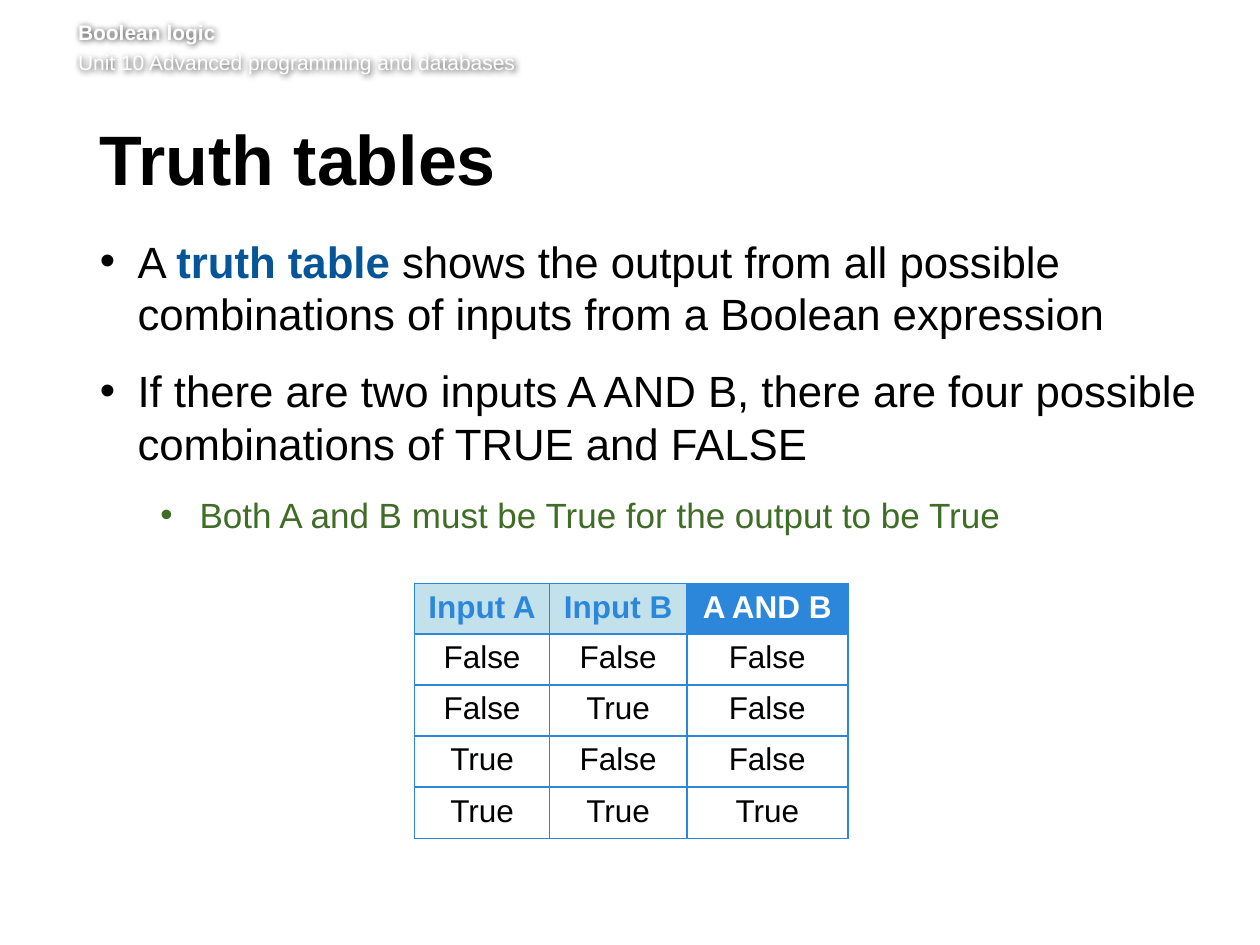
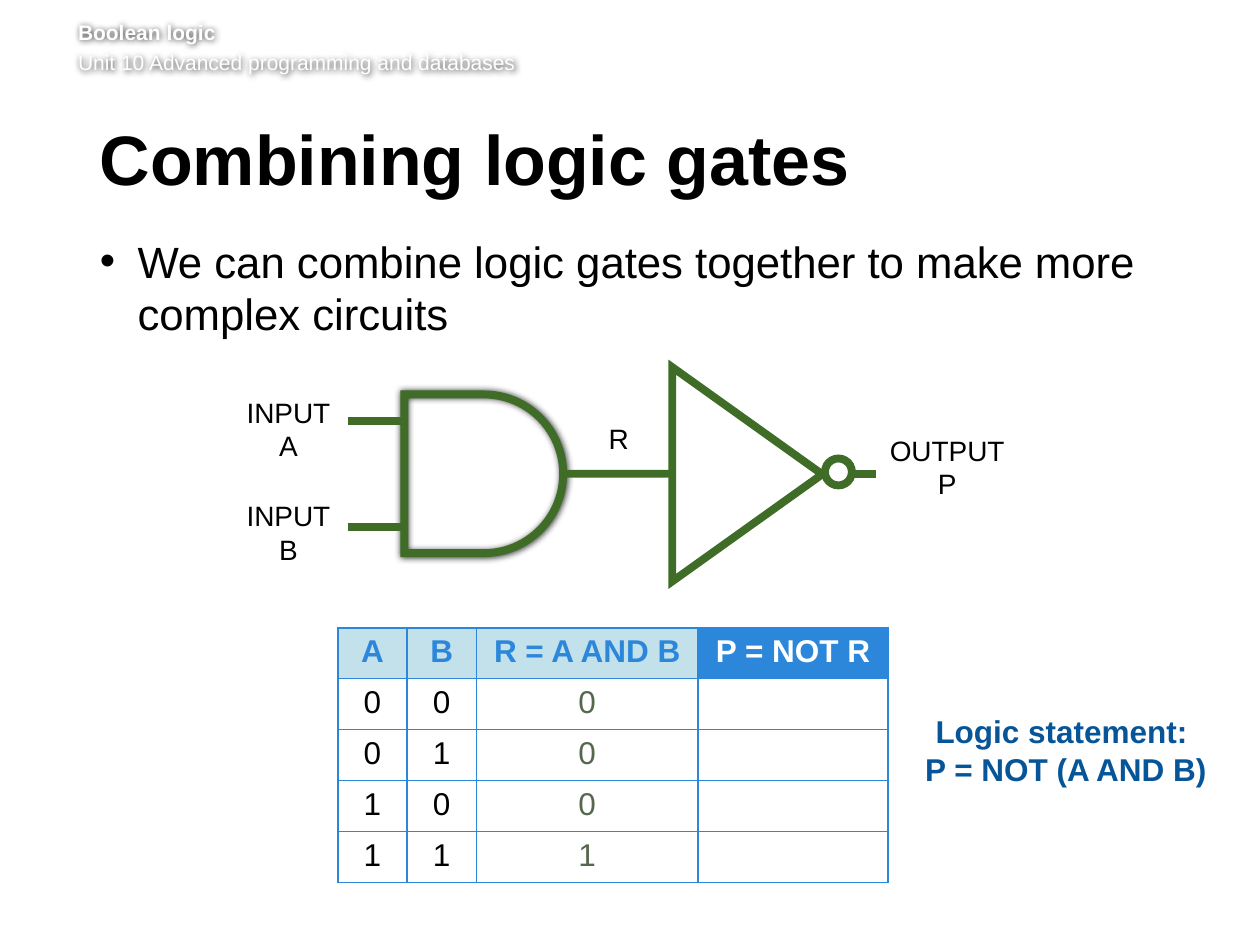
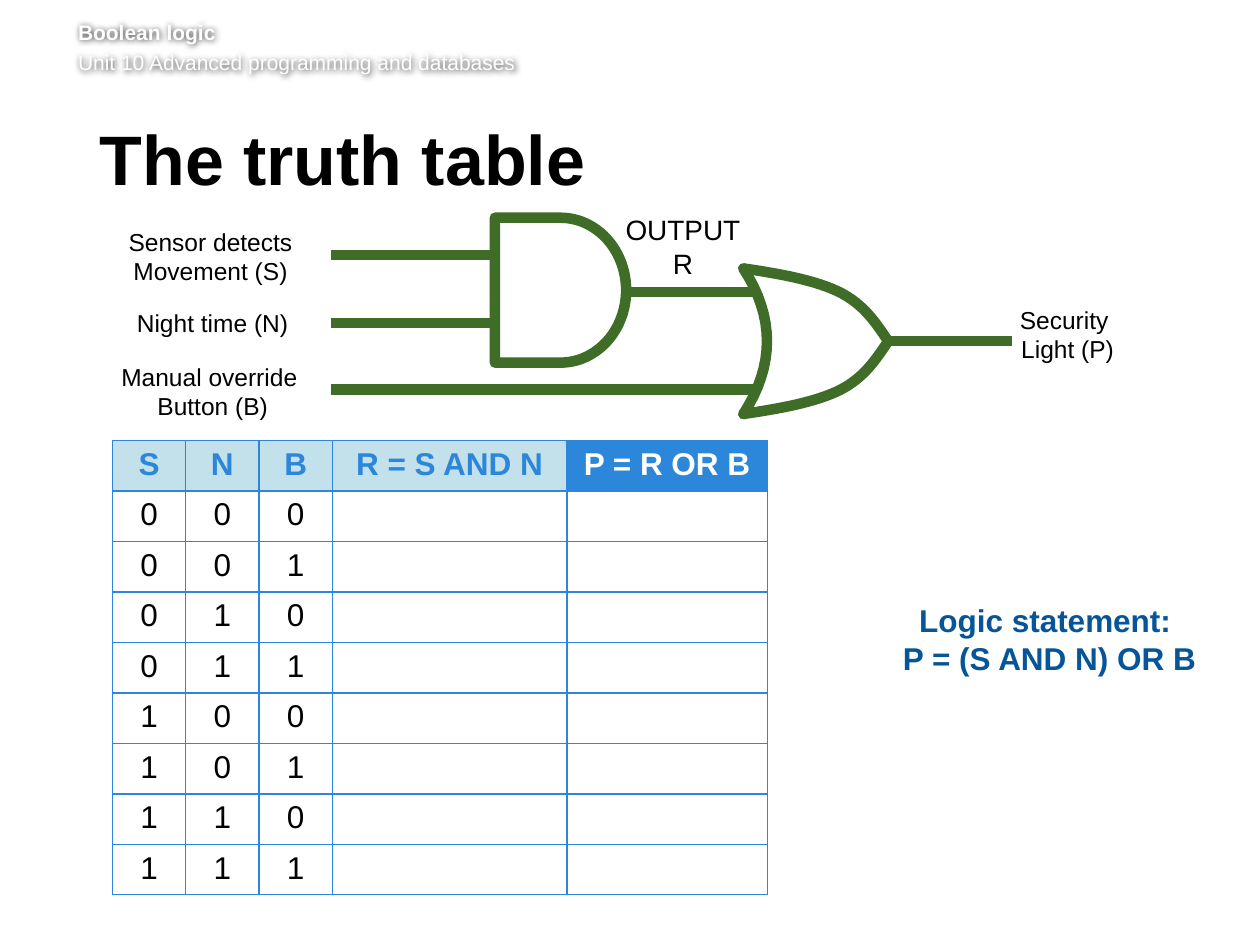
from dataclasses import dataclass
from itertools import product

from lxml import etree
from pptx import Presentation
from pptx import util as u
from pptx.dml import color
from pptx.enum import shapes, text
from pptx.oxml import ns


@dataclass(frozen=True)
class Theme:
    font: str = "Arial"
    white: str = "FFFFFF"
    black: str = "000000"
    blue: str = "2C87DA"
    pale_blue: str = "C3E1EB"
    dark_blue: str = "065598"
    green: str = "3F6C27"
    grey_green: str = "55674D"
    header: float = 12
    title: float = 40
    bullets: tuple = (25, 20)
    table: float = 18
    label: float = 16
    small_label: float = 14


THEME = Theme()

# Content: each bullet is (level, [(text, highlighted), ...])
HEADER = ("Boolean logic", "Unit 10 Advanced programming and databases")
TRUTH_BULLETS = [
    (0, [("A ", False), ("truth table ", True),
         ("shows the output from all possible combinations of inputs "
          "from a Boolean expression", False)]),
    (0, [("If there are two inputs A AND B, there are four possible "
          "combinations of TRUE and FALSE", False)]),
    (1, [("Both A and B must be True for the output to be True", False)]),
]
GATE_BULLETS = [
    (0, [("We can combine logic gates together to make more complex circuits", False)]),
]
AND_TABLE = {
    "head": ["Input A", "Input B", "A AND B"],
    "rows": [(*pair, "True" if pair == ("True", "True") else "False")
             for pair in product(("False", "True"), repeat=2)],
    "columns": [77.2, 78.4, 92], "row_heights": [28.6] + [29.2] * 4,
}
NAND_TABLE = {
    "head": ["A", "B", "R = A AND B", "P = NOT R"],
    "rows": [(a, b, "1" if a == b == "1" else "0", "") for a, b in product("01", repeat=2)],
    "columns": [39.6, 39.6, 126.7, 108.6], "row_heights": [28.6] + [29.2] * 4,
    "muted": 2,
}
LIGHT_TABLE = {
    "head": ["S", "N", "B", "R = S AND N", "P = R OR B"],
    "rows": [(*inputs, "", "") for inputs in product("01", repeat=3)],
    "columns": [41.9, 41.9, 41.9, 134, 114.6], "row_heights": [28.8] * 9,
}

# Labels: lines, (left, top, width, height), size, centred vertically
NAND_LABELS = [
    (["INPUT", "A"], (134.6, 219.6, 60.5, 51), THEME.label, True),
    (["OUTPUT", "P"], (501, 244, 80.6, 46), THEME.label, False),
    (["INPUT", "B"], (134.6, 278.6, 60.5, 51), THEME.label, True),
    (["R"], (340.5, 237.6, 26, 26.6), THEME.label, False),
]
LIGHT_LABELS = [
    (["Security ", "Light (P)"], (568, 167, 84.2, 48.2), THEME.small_label, True),
    (["Sensor detects", "Movement (S)"], (62, 122.4, 116.6, 48.2), THEME.small_label, True),
    (["Night time (N)"], (57, 172, 129, 24.5), THEME.small_label, True),
    (["Manual override ", "Button (B)"], (64, 203.8, 115.2, 39.6), THEME.small_label, True),
    (["OUTPUT", "R"], (350, 118, 80.6, 46), THEME.label, False),
]


def points(*values):
    return [u.Pt(value) for value in values]


def rgb(code):
    return color.RGBColor.from_string(code)


def set_font(font, size, code, bold=False):
    font.name, font.size, font.bold = THEME.font, u.Pt(size), bold
    font.color.rgb = rgb(code)


def add_element(parent, tag, **attributes):
    return etree.SubElement(parent, ns.qn(tag), attributes)


def add_halo(shape):
    """Soft shadow straight behind the shape."""
    shape.shadow.inherit = False
    effects = shape._element.spPr.find(ns.qn("a:effectLst"))
    shadow = add_element(effects, "a:outerShdw", blurRad=str(u.Pt(4)), dist="0",
                         algn="ctr", rotWithShape="0")
    tone = add_element(shadow, "a:srgbClr", val=THEME.black)
    add_element(tone, "a:alpha", val="80000")


# Text
def add_box(page, area, insets, wrap=True, middle=False):
    box = page.shapes.add_textbox(*points(*area))
    frame = box.text_frame
    frame.word_wrap = wrap
    (frame.margin_left, frame.margin_top,
     frame.margin_right, frame.margin_bottom) = points(*insets)
    frame.vertical_anchor = text.MSO_ANCHOR.MIDDLE if middle else text.MSO_ANCHOR.TOP
    return box


def paragraphs(box, count):
    frame = box.text_frame
    return [frame.paragraphs[0]] + [frame.add_paragraph() for _ in range(count - 1)]


def add_label(page, lines, area, size, middle=False, code=THEME.black, bold=False):
    box = add_box(page, area, (0, 3.6, 0, 3.6), wrap=False, middle=middle)
    for para, line in zip(paragraphs(box, len(lines)), lines):
        para.text = line
        para.alignment = text.PP_ALIGN.CENTER
        set_font(para.font, size, code, bold)


def add_statement(page, formula, area):
    add_label(page, ["Logic statement: ", formula], area, THEME.table,
              code=THEME.dark_blue, bold=True)


def add_bullets(page, bullets, width, height):
    box = add_box(page, (57, 134, width, height), (0, 0, 7.2, 3.6))
    for para, (level, spans) in zip(paragraphs(box, len(bullets)), bullets):
        para.level = level
        para.space_after = u.Pt((14, 12)[level])
        settings = para._p.get_or_add_pPr()
        settings.set("marL", str(u.Pt((21.6, 57)[level])))
        settings.set("indent", str(u.Pt((-21.6, -22.3)[level])))
        add_element(settings, "a:buFont", typeface=THEME.font)
        add_element(settings, "a:buChar", char="•")
        set_font(para.font, THEME.bullets[level], (THEME.black, THEME.green)[level])
        for words, highlighted in spans:
            span = para.add_run()
            span.text = words
            if highlighted:
                span.font.bold = True
                span.font.color.rgb = rgb(THEME.dark_blue)


def add_page(deck, title):
    page = deck.slides.add_slide(deck.slide_layouts[6])
    header = add_box(page, (44.6, 11.2, 635, 35.3), (0, 0, 0, 3.6))
    for number, (para, line) in enumerate(zip(paragraphs(header, len(HEADER)), HEADER)):
        para.text = line
        para.space_before = u.Pt(2.9 if number else 0)
        set_font(para.font, THEME.header, THEME.white, bold=number == 0)
    add_halo(header)

    title_box = add_box(page, (57, 71.3, 615.6, 52.6), (0, 3.6, 7.2, 3.6))
    para = title_box.text_frame.paragraphs[0]
    para.text = title
    para.line_spacing = u.Pt(39)
    set_font(para.font, THEME.title, THEME.black, bold=True)
    return page


# Tables
def add_borders(cell):
    settings = cell._tc.get_or_add_tcPr()
    for number, side in enumerate(("a:lnL", "a:lnR", "a:lnT", "a:lnB")):
        edge = etree.Element(ns.qn(side), w=str(u.Pt(1)))
        add_element(add_element(edge, "a:solidFill"), "a:srgbClr", val=THEME.blue)
        settings.insert(number, edge)


def add_truth_table(page, content, left, top):
    columns, heights = content["columns"], content["row_heights"]
    rows = [content["head"], *content["rows"]]
    frame = page.shapes.add_table(len(rows), len(columns),
                                  *points(left, top, sum(columns), sum(heights)))
    table = frame.table
    table.horz_banding = False
    for column, width in zip(table.columns, columns):
        column.width = u.Pt(width)
    for row, height in zip(table.rows, heights):
        row.height = u.Pt(height)
    for r, row in enumerate(rows):
        for c, value in enumerate(row):
            cell = table.cell(r, c)
            code = THEME.grey_green if c == content.get("muted") else THEME.black
            fill = None
            if r == 0:
                is_output = c == len(columns) - 1
                code = THEME.white if is_output else THEME.blue
                fill = THEME.blue if is_output else THEME.pale_blue
            if fill:
                cell.fill.solid()
                cell.fill.fore_color.rgb = rgb(fill)
            else:
                cell.fill.background()
            add_borders(cell)
            para = cell.text_frame.paragraphs[0]
            para.text = value
            para.alignment = text.PP_ALIGN.CENTER
            set_font(para.font, THEME.table, code, bold=r == 0)


# Circuit parts
def style_line(shape, weight, join=None):
    shape.line.color.rgb = rgb(THEME.green)
    shape.line.width = u.Pt(weight)
    if join:
        add_element(shape.line._get_or_add_ln(), join)


def add_wire(page, start, end, y, weight):
    wire = page.shapes.add_connector(shapes.MSO_CONNECTOR.STRAIGHT, *points(start, y, end, y))
    style_line(wire, weight)
    add_element(wire._element.spPr, "a:effectLst")
    return wire


def add_gate(page, kind, area, weight, join="a:miter", filled=False):
    gate = page.shapes.add_shape(kind, *points(*area))
    gate.shadow.inherit = False
    if filled:
        gate.fill.solid()
        gate.fill.fore_color.rgb = rgb(THEME.white)
    else:
        gate.fill.background()
    style_line(gate, weight, join)
    return gate


def bezier(start, first, second, end, steps=16):
    curve = []
    for step in range(steps + 1):
        t = step / steps
        weights = ((1 - t) ** 3, 3 * t * (1 - t) ** 2, 3 * t * t * (1 - t), t ** 3)
        curve.append(tuple(sum(w * p[axis] for w, p in zip(weights, (start, first, second, end)))
                           for axis in (0, 1)))
    return curve


def add_curve(page, curve, weight):
    dots = [tuple(points(*dot)) for dot in curve]
    builder = page.shapes.build_freeform(*dots[0])
    builder.add_line_segments(dots[1:], close=False)
    shape = builder.convert_to_shape()
    shape.shadow.inherit = False
    shape.fill.background()
    style_line(shape, weight, "a:round")
    shape.line._get_or_add_ln().set("cap", "rnd")


def add_or_gate(page, left, middle, weight):
    """Curved sides mirror each other about the middle line."""
    half, tip = 41.6, left + 82.8
    shoulder = (left + 55.4, -27.8)
    upper = (bezier((left, -half), (left + 20.2, -38.6), (left + 41, -35), shoulder)
             + bezier(shoulder, (left + 69.1, -20.7), (tip - 7.2, -10.6), (tip, 0))[1:])
    back = bezier((left, -half), (left + 18, -13.9), (left + 18, 13.9), (left, half))
    lower = [(x, -y) for x, y in upper]
    for side in (upper, lower, back):
        add_curve(page, [(x, middle + y) for x, y in side], weight)


def draw_nand_circuit(page):
    weight, middle = 4.5, 270.7
    gate = add_gate(page, shapes.MSO_SHAPE.FLOWCHART_DELAY, (231.1, 225.4, 90.7, 90.7), weight)
    add_halo(gate)
    for y in (240.5, 301):
        add_wire(page, 198.7, 229, y, weight)
    link = add_wire(page, 321.8, 385.2, middle, weight)
    link.begin_connect(gate, 3)
    add_wire(page, 385.2, 500.4, middle, weight)
    inverter = add_gate(page, shapes.MSO_SHAPE.ISOSCELES_TRIANGLE,
                        (365.8, 228.2, 122.4, 85.7), weight, filled=True)
    inverter.rotation = 90
    add_gate(page, shapes.MSO_SHAPE.OVAL, (471.4, 262, 15.4, 15.4), weight, filled=True)


def draw_light_circuit(page):
    weight, middle = 6, 195
    add_wire(page, 507.6, 578.2, middle, weight)
    add_wire(page, 189.4, 430.6, 222.5, weight)
    add_or_gate(page, 424.8, middle, weight)
    add_wire(page, 356.4, 431.3, 167, weight)
    for y in (145.6, 184.7):
        add_wire(page, 189.4, 280.8, y, weight)
    add_gate(page, shapes.MSO_SHAPE.FLOWCHART_DELAY, (282.8, 124.4, 75, 82.8), weight, "a:round")


def main():
    deck = Presentation()
    deck.slide_width, deck.slide_height = points(720, 540)

    # Truth tables
    page = add_page(deck, "Truth tables")
    add_bullets(page, TRUTH_BULLETS, 644.4, 272)
    add_truth_table(page, AND_TABLE, 236.9, 333.4)

    # Combining logic gates
    page = add_page(deck, "Combining logic gates")
    add_bullets(page, GATE_BULLETS, 614, 72.7)
    draw_nand_circuit(page)
    for label in NAND_LABELS:
        add_label(page, *label)
    add_statement(page, "P = NOT (A AND B)", (520.6, 403.2, 177, 51))
    add_truth_table(page, NAND_TABLE, 193, 358.8)

    # Security light
    page = add_page(deck, "The truth table")
    add_statement(page, "P = (S AND N) OR B", (507.6, 339.8, 184.3, 51))
    add_truth_table(page, LIGHT_TABLE, 64.2, 251.8)
    draw_light_circuit(page)
    for label in LIGHT_LABELS:
        add_label(page, *label)

    deck.save("out.pptx")


if __name__ == "__main__":
    main()
